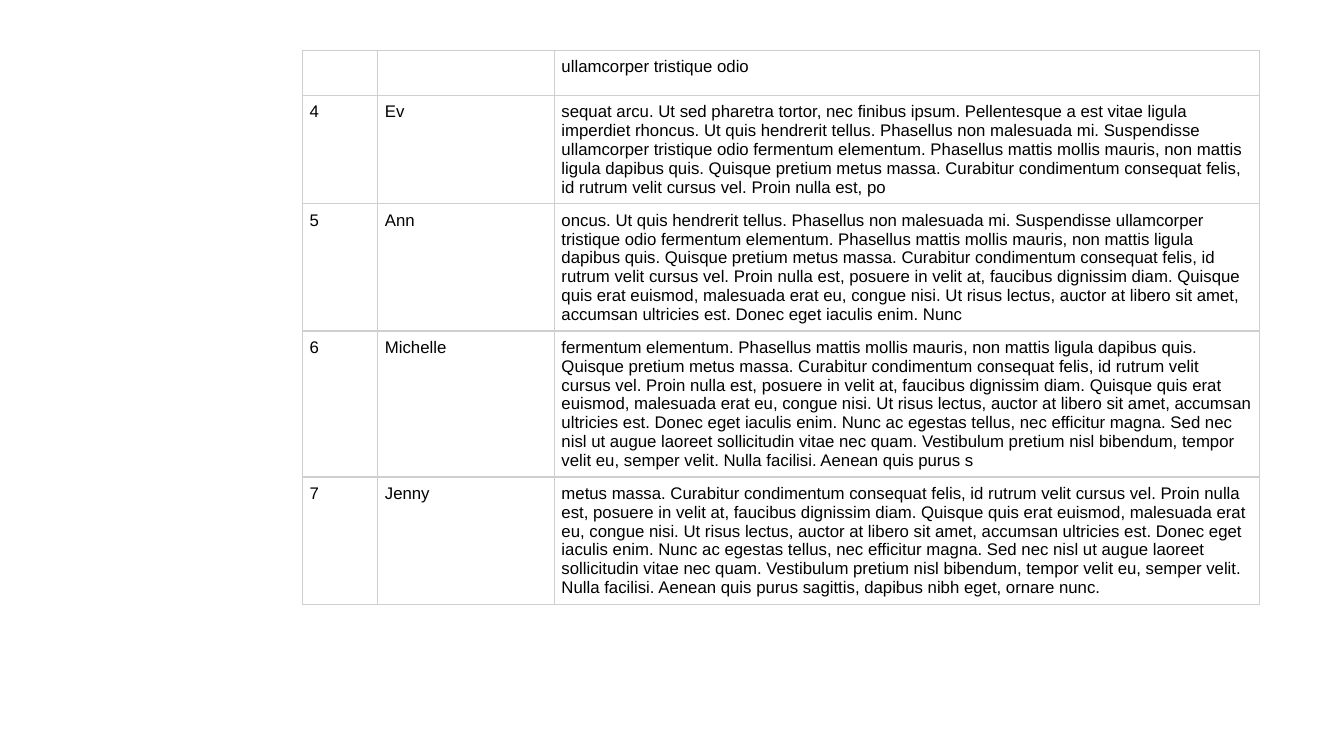
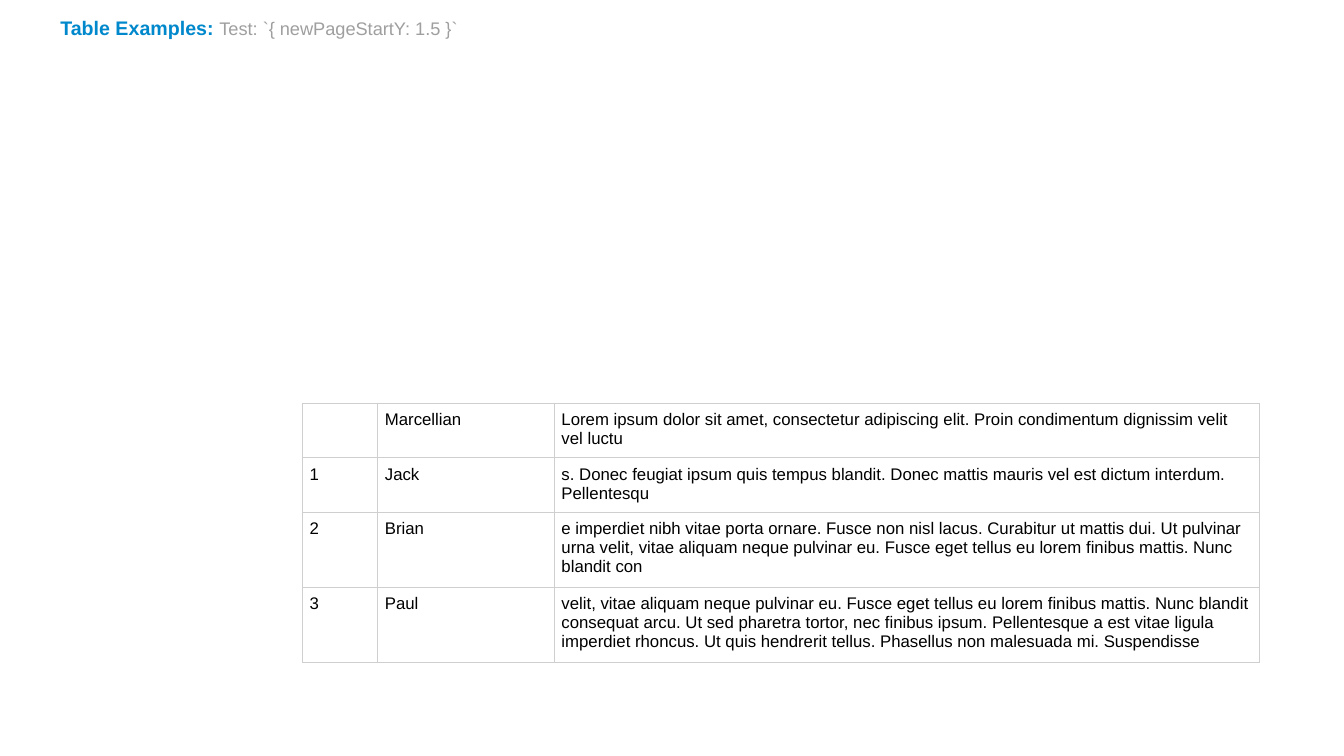
from lxml.etree import SubElement
from pptx import Presentation
from pptx.dml.color import RGBColor
from pptx.enum.text import MSO_ANCHOR as Anchor
from pptx.oxml.ns import qn
from pptx.util import Cm, Pt

FONT = "Arial"
BLUE = RGBColor(0x00, 0x88, 0xCC)
GRAY = RGBColor(0x9F, 0x9F, 0x9F)
BLACK = RGBColor(0x00, 0x00, 0x00)
BORDER = RGBColor(0xCF, 0xCF, 0xCF)

TITLE_FORMAT = {"name": FONT, "size": Pt(14), "bold": True, "color": BLUE}
OPTION_FORMAT = {"name": FONT, "size": Pt(13), "bold": False, "color": GRAY}
CELL_FORMAT = {"name": FONT, "size": Pt(12), "bold": False, "color": BLACK}

TABLE_LEFT = 7.62
COLUMN_WIDTHS = (1.9, 4.45, 17.78)
CELL_MARGIN = Cm(0.18)
ROW_PADDING = 0.36
LINE_HEIGHT = 0.47

SENTENCES = [
    "Lorem ipsum dolor sit amet, consectetur adipiscing elit.",
    "Proin condimentum dignissim velit vel luctus.",
    "Donec feugiat ipsum quis tempus blandit.",
    "Donec mattis mauris vel est dictum interdum.",
    "Pellentesque imperdiet nibh vitae porta ornare.",
    "Fusce non nisl lacus.",
    "Curabitur ut mattis dui.",
    "Ut pulvinar urna velit, vitae aliquam neque pulvinar eu.",
    "Fusce eget tellus eu lorem finibus mattis.",
    "Nunc blandit consequat arcu.",
    "Ut sed pharetra tortor, nec finibus ipsum.",
    "Pellentesque a est vitae ligula imperdiet rhoncus.",
    "Ut quis hendrerit tellus.",
    "Phasellus non malesuada mi.",
    "Suspendisse ullamcorper tristique odio fermentum elementum.",
    "Phasellus mattis mollis mauris, non mattis ligula dapibus quis.",
    "Quisque pretium metus massa.",
    "Curabitur condimentum consequat felis, id rutrum velit cursus vel.",
    "Proin nulla est, posuere in velit at, faucibus dignissim diam.",
    "Quisque quis erat euismod, malesuada erat eu, congue nisi.",
    "Ut risus lectus, auctor at libero sit amet, accumsan ultricies est.",
    "Donec eget iaculis enim.",
    "Nunc ac egestas tellus, nec efficitur magna.",
    "Sed nec nisl ut augue laoreet sollicitudin vitae nec quam.",
    "Vestibulum pretium nisl bibendum, tempor velit eu, semper velit.",
    "Nulla facilisi.",
    "Aenean quis purus sagittis, dapibus nibh eget, ornare nunc.",
]
LOREM = " ".join(SENTENCES)
PAGE_BREAK = LOREM.index("ullamcorper")


def excerpt(start, end):
    return LOREM[start:end].strip()


def numbered_row(number, name, lines):
    return str(number), name, excerpt(100 * number, 200 * number), lines


CONTINUED_ROWS = [
    ("", "", excerpt(PAGE_BREAK, 600), 1.5),
    numbered_row(4, "Ev", 5),
    numbered_row(5, "Ann", 6),
    numbered_row(6, "Michelle", 7),
    numbered_row(7, "Jenny", 6),
]
OPENING_ROWS = [
    ("", "Marcellian", excerpt(0, 100), 2),
    numbered_row(1, "Jack", 2),
    numbered_row(2, "Brian", 3),
    ("3", "Paul", excerpt(300, PAGE_BREAK), 3),
]


def add_run(paragraph, text, formats):
    run = paragraph.add_run()
    run.text = text
    for attribute, value in formats.items():
        if attribute == "color":
            run.font.color.rgb = value
        else:
            setattr(run.font, attribute, value)


def add_title(slide, title, option):
    box = slide.shapes.add_textbox(Cm(1.27), Cm(0.33), Cm(30.48), Cm(0.76))
    frame = box.text_frame
    frame.word_wrap = True
    frame.vertical_anchor = Anchor.MIDDLE
    paragraph = frame.paragraphs[0]
    add_run(paragraph, title, TITLE_FORMAT)
    add_run(paragraph, option, OPTION_FORMAT)


def set_borders(cell):
    properties = cell._tc.get_or_add_tcPr()
    for position, side in enumerate(("lnL", "lnR", "lnT", "lnB")):
        line = SubElement(properties, qn(f"a:{side}"), w=str(Pt(1)))
        fill = SubElement(line, qn("a:solidFill"))
        SubElement(fill, qn("a:srgbClr"), val=str(BORDER))
        properties.insert(position, line)


def fill_cell(cell, text):
    for side in ("left", "right", "top", "bottom"):
        setattr(cell, f"margin_{side}", CELL_MARGIN)
    cell.fill.background()
    set_borders(cell)
    if text:
        add_run(cell.text_frame.paragraphs[0], text, CELL_FORMAT)


def add_name_table(slide, top, rows):
    heights = [Cm(ROW_PADDING + LINE_HEIGHT * lines) for *_, lines in rows]
    table = slide.shapes.add_table(
        len(rows), len(COLUMN_WIDTHS), Cm(TABLE_LEFT), Cm(top),
        Cm(sum(COLUMN_WIDTHS)), sum(heights),
    ).table
    table.first_row = False
    table.horz_banding = False
    for column, width in zip(table.columns, COLUMN_WIDTHS):
        column.width = Cm(width)
    for row, height, (*texts, _) in zip(table.rows, heights, rows):
        row.height = height
        for cell, text in zip(row.cells, texts):
            fill_cell(cell, text)


def main():
    presentation = Presentation()
    presentation.slide_width = Cm(33.87)
    presentation.slide_height = Cm(19.05)
    blank = presentation.slide_layouts[6]

    continued_slide = presentation.slides.add_slide(blank)
    add_name_table(continued_slide, 1.27, CONTINUED_ROWS)

    opening_slide = presentation.slides.add_slide(blank)
    add_title(opening_slide, "Table Examples: ", "Test: `{ newPageStartY: 1.5 }`")
    add_name_table(opening_slide, 10.16, OPENING_ROWS)

    presentation.save("out.pptx")


if __name__ == "__main__":
    main()
